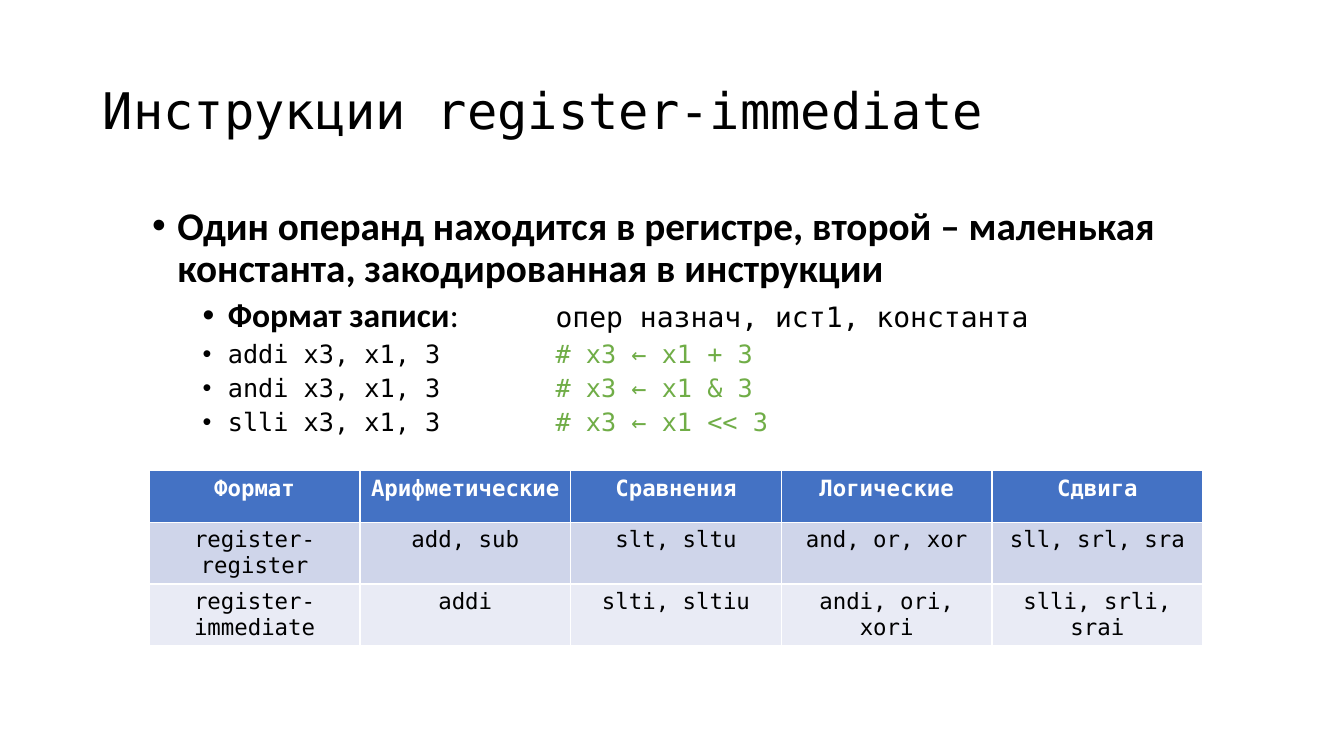
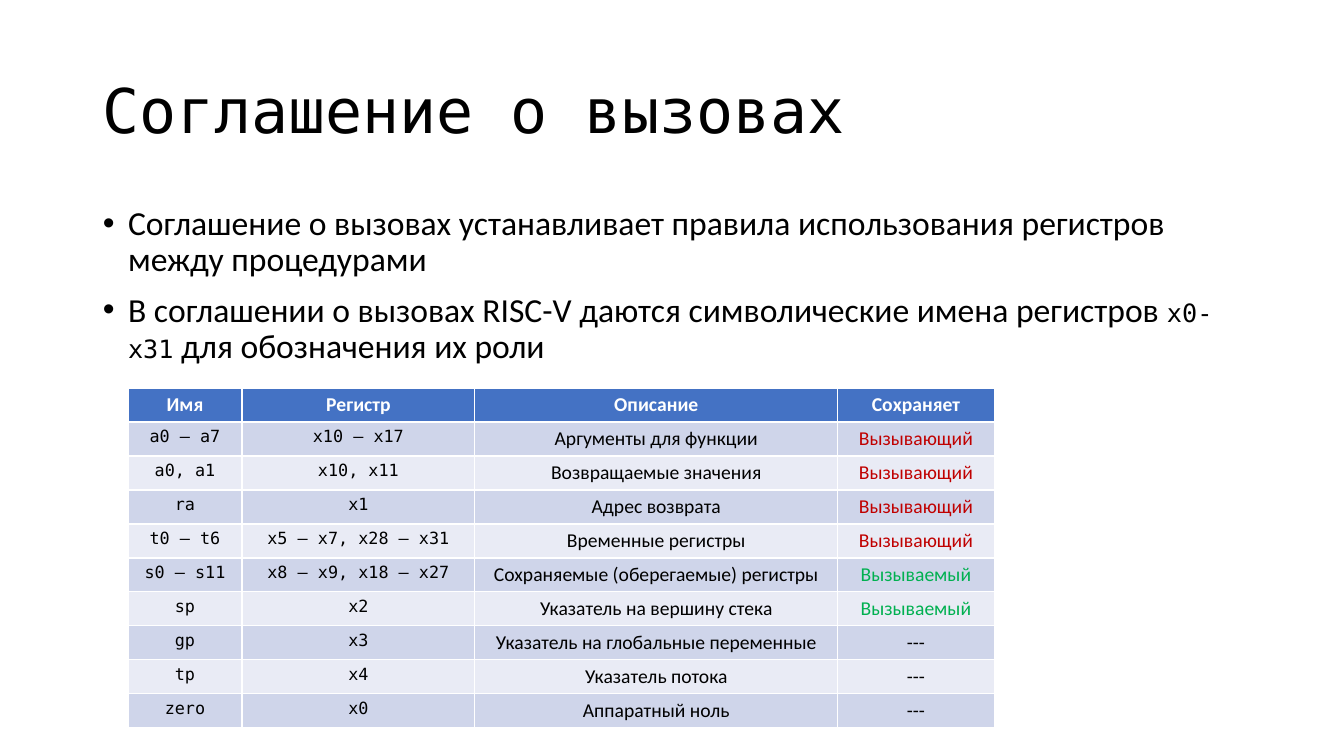
import pptx
import pptx.dml.color
import pptx.enum.text
import pptx.oxml.ns
import pptx.util
from lxml import etree
from pptx.util import Inches

COLORS = {
    "text": "000000",
    "comment": "70AD47",
    "header": "4472C4",
    "header_text": "FFFFFF",
    "band_dark": "CFD5EA",
    "band_light": "E9EBF5",
    "caller": "C00000",
    "callee": "00B050",
}
SANS = "Calibri"
MONO = "DejaVu Sans Mono"
CODE_TAB = Inches(4)


def format_run(r, font, size, color="text", bold=False):
    r.font.name = font
    r.font.size = pptx.util.Pt(size)
    r.font.bold = bold
    r.font.color.rgb = pptx.dml.color.RGBColor.from_string(COLORS[color])


def add_element(parent, tag, **attributes):
    el = etree.SubElement(parent, pptx.oxml.ns.qn(tag))
    for name, value in attributes.items():
        el.set(name, str(value))
    return el


def place(sp, left, top, width, height):
    sp.left, sp.top = Inches(left), Inches(top)
    sp.width, sp.height = Inches(width), Inches(height)
    sp.text_frame.word_wrap = True
    sp.text_frame.auto_size = pptx.enum.text.MSO_AUTO_SIZE.NONE


def add_slide(prs, title, title_size):
    s = prs.slides.add_slide(prs.slide_layouts[1])
    sp = s.shapes.title
    place(sp, 0.92, 0.4, 11.5, 1.45)
    tf = sp.text_frame
    tf.text = title
    tf.vertical_anchor = pptx.enum.text.MSO_ANCHOR.MIDDLE
    p = tf.paragraphs[0]
    p.alignment = pptx.enum.text.PP_ALIGN.LEFT
    p.line_spacing = 0.9
    format_run(p.runs[0], MONO, title_size)
    return s


def format_bullet(p, level, first):
    p.level = level
    pPr = p._p.get_or_add_pPr()
    pPr.set("marL", str(Inches(0.25 + 0.5 * level)))
    pPr.set("indent", str(Inches(-0.25)))
    add_element(pPr, "a:buFont", typeface="Arial")
    add_element(pPr, "a:buChar", char="•")
    if level:
        tabs = add_element(pPr, "a:tabLst")
        add_element(tabs, "a:tab", pos=CODE_TAB, algn="l")
    p.line_spacing = 0.9
    p.space_before = pptx.util.Pt(0 if first else 5 if level else 10)


def fill_body(s, box, items):
    """Each item is a level and a list of (text, font, size, ...) runs."""
    sp = s.placeholders[1]
    place(sp, *box)
    tf = sp.text_frame
    for i, (level, runs) in enumerate(items):
        p = tf.add_paragraph() if i else tf.paragraphs[0]
        format_bullet(p, level, first=i == 0)
        for text, *style in runs:
            r = p.add_run()
            r.text = text
            format_run(r, *style)


def add_banded_table(s, left, top, widths, row_height, rows, header_style,
                     column_styles, text_colors=None):
    """Styles are (font, size); text_colors maps a cell text to its colour."""
    text_colors = text_colors or {}
    table = s.shapes.add_table(
        len(rows), len(widths), Inches(left), Inches(top),
        Inches(sum(widths)), Inches(row_height * len(rows))).table
    for column, width in zip(table.columns, widths):
        column.width = Inches(width)
    for i, row in enumerate(rows):
        table.rows[i].height = Inches(row_height)
        fill = ("band_dark" if i % 2 else "band_light") if i else "header"
        for j, text in enumerate(row):
            cell = table.cell(i, j)
            cell.fill.solid()
            cell.fill.fore_color.rgb = pptx.dml.color.RGBColor.from_string(
                COLORS[fill])
            p = cell.text_frame.paragraphs[0]
            p.text = text
            p.alignment = pptx.enum.text.PP_ALIGN.CENTER
            if i:
                format_run(p.runs[0], *column_styles[j],
                           text_colors.get(text, "text"))
            else:
                format_run(p.runs[0], *header_style, "header_text", True)


def add_immediate_slide(prs):
    s = add_slide(prs, "Инструкции register-immediate", 36)
    examples = [
        ("addi x3, x1, 3", "# x3 ← x1 + 3"),
        ("andi x3, x1, 3", "# x3 ← x1 & 3"),
        ("slli x3, x1, 3", "# x3 ← x1 << 3"),
    ]
    fill_body(s, (1.41, 2, 11.01, 5.1), [
        (0, [("Один операнд находится в регистре, второй – маленькая "
              "константа, закодированная в инструкции",
              SANS, 28, "text", True)]),
        (1, [("Формат записи", SANS, 24, "text", True),
             (":\t", SANS, 24),
             ("опер назнач, ист1, константа", MONO, 20)]),
    ] + [(1, [(code + "\t", MONO, 18), (comment, MONO, 18, "comment")])
         for code, comment in examples])
    rows = [
        ("Формат", "Арифметические", "Сравнения", "Логические", "Сдвига"),
        ("register-register", "add, sub", "slt, sltu", "and, or, xor",
         "sll, srl, sra"),
        ("register-immediate", "addi", "slti, sltiu", "andi, ori, xori",
         "slli, srli, srai"),
    ]
    add_banded_table(s, 1.48, 4.67, [2.09] * 5, 0.51, rows,
                     (MONO, 16), [(MONO, 16)] * 5)


def add_convention_slide(prs):
    s = add_slide(prs, "Соглашение о вызовах", 44)
    fill_body(s, (0.92, 2, 11.5, 4.76), [
        (0, [("Соглашение о вызовах устанавливает правила использования "
              "регистров между процедурами", SANS, 24)]),
        (0, [("В соглашении о вызовах RISC-V даются символические имена "
              "регистров ", SANS, 24),
             ("x0-x31", MONO, 18),
             (" для обозначения их роли", SANS, 24)]),
    ])
    rows = [
        ("Имя", "Регистр", "Описание", "Сохраняет"),
        ("a0 – a7", "x10 – x17", "Аргументы для функции", "Вызывающий"),
        ("a0, a1", "x10, x11", "Возвращаемые значения", "Вызывающий"),
        ("ra", "x1", "Адрес возврата", "Вызывающий"),
        ("t0 – t6", "x5 – x7, x28 – x31", "Временные регистры",
         "Вызывающий"),
        ("s0 – s11", "x8 – x9, x18 – x27",
         "Сохраняемые (оберегаемые) регистры", "Вызываемый"),
        ("sp", "x2", "Указатель на вершину стека", "Вызываемый"),
        ("gp", "x3", "Указатель на глобальные переменные", "---"),
        ("tp", "x4", "Указатель потока", "---"),
        ("zero", "x0", "Аппаратный ноль", "---"),
    ]
    add_banded_table(s, 1.27, 3.85, [1.13, 2.31, 3.6, 1.55], 0.3, rows,
                     (SANS, 14), [(MONO, 12)] * 2 + [(SANS, 14)] * 2,
                     {"Вызывающий": "caller", "Вызываемый": "callee"})


def main():
    prs = pptx.Presentation()
    prs.slide_width, prs.slide_height = Inches(13.33), Inches(7.5)
    add_immediate_slide(prs)
    add_convention_slide(prs)
    prs.save("out.pptx")


if __name__ == "__main__":
    main()
